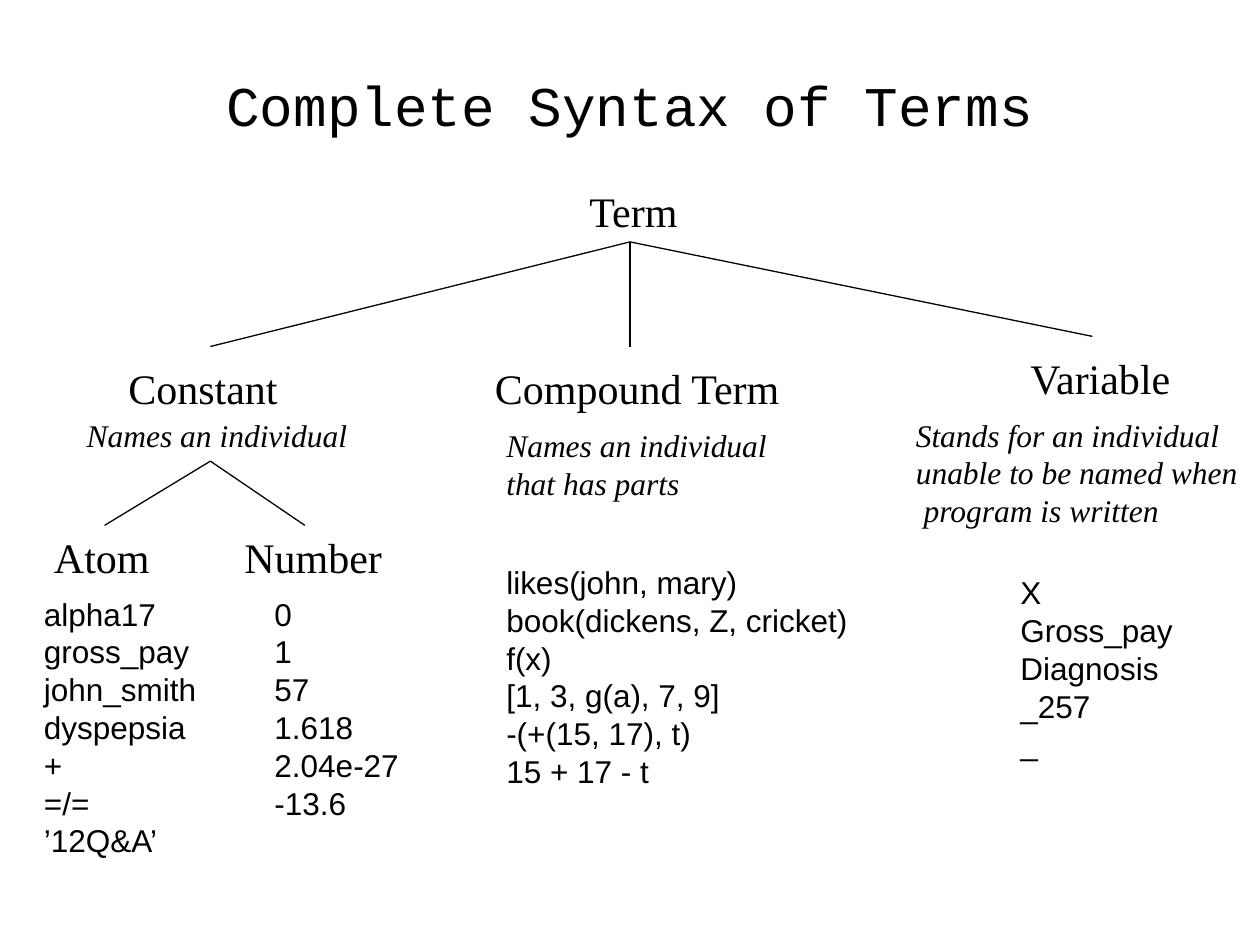
from pptx import Presentation
from pptx.dml.color import RGBColor
from pptx.enum.shapes import MSO_CONNECTOR
from pptx.enum.text import MSO_ANCHOR, MSO_AUTO_SIZE, PP_ALIGN
from pptx.oxml.ns import qn
from pptx.util import Inches, Pt
from lxml import etree

LINE = MSO_CONNECTOR.STRAIGHT
MIDDLE, TOP = MSO_ANCHOR.MIDDLE, MSO_ANCHOR.TOP
GROW, FIXED = MSO_AUTO_SIZE.SHAPE_TO_FIT_TEXT, MSO_AUTO_SIZE.NONE
CENTER, LEFT = PP_ALIGN.CENTER, PP_ALIGN.LEFT
SERIF, SANS, MONO = "Times New Roman", "Arial", "Courier New"
INK = "000000"
LEADING = 1.2

HEADS = [
    ("Term", 4.58, 1.42, 0.92),
    ("Constant", 0.92, 2.83, 1.42),
    ("Compound Term", 3.83, 2.83, 2.48),
    ("Variable", 8.08, 2.75, 1.35),
    ("Atom", 0.33, 4.17, 0.96),
    ("Number", 1.84, 4.17, 1.29),
]
NOTES = [
    ("Names an individual", 0.59, 3.25, 2.27),
    ("Names an individual\nthat has parts", 3.92, 3.33, 2.27),
    ("Stands for an individual\nunable to be named when\n program is written",
     7.17, 3.25, 2.8),
]
SAMPLES = [
    ("alpha17\ngross_pay\njohn_smith\ndyspepsia\n+\n=/=\n’12Q&A’",
     0.25, 4.67, 1.41),
    ("0\n1\n57\n1.618\n2.04e-27\n-13.6", 2.08, 4.67, 1.22),
    ("likes(john, mary)\nbook(dickens, Z, cricket)\nf(x)\n"
     "[1, 3, g(a), 7, 9]\n-(+(15, 17), t)\n15 + 17 - t", 3.92, 4.42, 3.17),
    ("X\nGross_pay\nDiagnosis\n_257\n_", 8, 4.5, 1.41),
]
TREE = [
    ((5, 1.92), [(1.67, 2.75), (5, 2.75), (8.67, 2.67)]),
    ((1.67, 3.66), [(0.83, 4.17), (2.42, 4.17)]),
]


def color(code):
    """Return the colour for a hex string."""
    return RGBColor.from_string(code)


def write(shape, text, font=SERIF, size=24, italic=False, align=LEFT,
          anchor=TOP, fit=GROW, wrap=False):
    """Fill a shape with one paragraph per line of text."""
    frame = shape.text_frame
    frame.text = text
    frame.word_wrap = wrap
    frame.auto_size = fit
    frame.vertical_anchor = anchor
    for para in frame.paragraphs:
        para.alignment = align
        para.line_spacing = Pt(size * LEADING)
        para.font.name = font
        para.font.size = Pt(size)
        para.font.italic = italic
        para.font.color.rgb = color(INK)


def add_title(slide, text):
    """Place and fill the title placeholder."""
    title = slide.shapes.title
    title.left, title.top = Inches(0.75), Inches(0.33)
    title.width, title.height = Inches(8.5), Inches(1)
    write(title, text, font=MONO, size=32, align=CENTER, anchor=MIDDLE,
          fit=FIXED, wrap=True)


def add_text(slide, text, left, top, width, **style):
    """Add a text box as tall as its lines."""
    lines = text.count("\n") + 1
    height = 0.1 + lines * style["size"] * LEADING / 72
    box = slide.shapes.add_textbox(
        Inches(left), Inches(top), Inches(width), Inches(height))
    write(box, text, **style)


def add_branch(slide, start, end):
    """Draw one thin line of the tree."""
    points = [Inches(value) for value in (*start, *end)]
    line = slide.shapes.add_connector(LINE, *points)
    line.line.color.rgb = color(INK)
    line.line.width = Pt(0.75)
    etree.SubElement(line._element.spPr, qn("a:effectLst"))


def main():
    """Build the slide and save it."""
    deck = Presentation()
    deck.slide_width, deck.slide_height = Inches(10), Inches(7.5)
    slide = deck.slides.add_slide(deck.slide_layouts[5])
    add_title(slide, "Complete Syntax of Terms")
    for root, leaves in TREE:
        for leaf in leaves:
            add_branch(slide, root, leaf)
    for head in HEADS:
        add_text(slide, *head, size=24)
    for note in NOTES:
        add_text(slide, *note, size=18, italic=True)
    for sample in SAMPLES:
        add_text(slide, *sample, font=SANS, size=18)
    deck.save("out.pptx")


if __name__ == "__main__":
    main()
